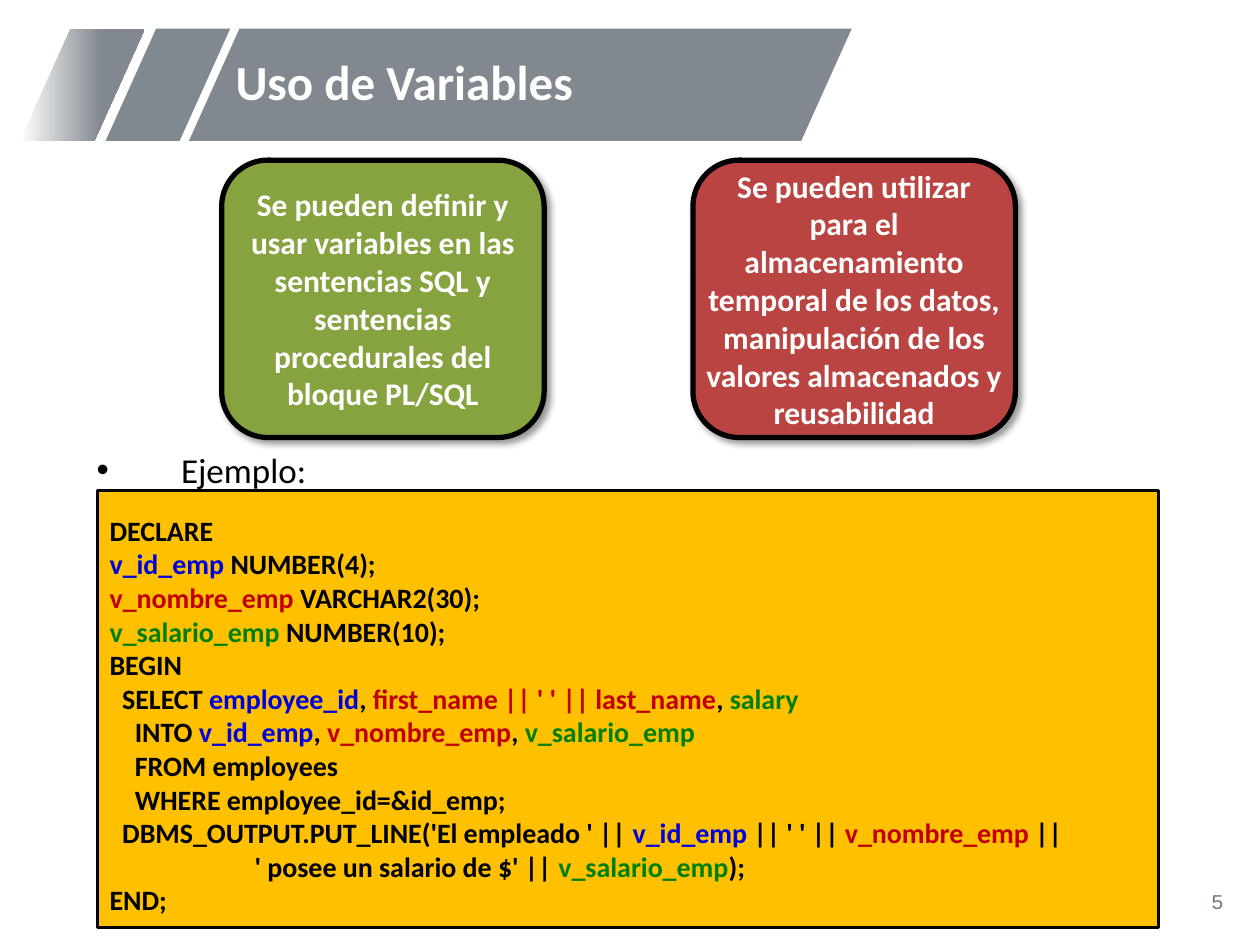
from lxml.etree import SubElement
from pptx import Presentation
from pptx.dml.color import RGBColor
from pptx.enum.shapes import MSO_SHAPE
from pptx.enum.text import MSO_ANCHOR, PP_ALIGN
from pptx.oxml.ns import qn
from pptx.util import Cm, Pt

COLORS = {
    "white": "FFFFFF", "black": "000000", "banner": "81888F", "band": "818990",
    "number": "6C7A8A", "green_card": "86A33F", "red_card": "B94441",
    "code_fill": "FFC000", "id": "0000DE", "name": "C00000", "salary": "008000",
}
TITLE = "Uso de Variables"
SLIDE_NUMBER = "5"
EXAMPLE = "Ejemplo:"
CARDS = [
    ("green_card", "Se pueden definir y usar variables en las sentencias SQL y "
                   "sentencias procedurales del bloque PL/SQL"),
    ("red_card", "Se pueden utilizar para el almacenamiento temporal de los datos, "
                 "manipulación de los valores almacenados y reusabilidad"),
]
ID = ("v_id_emp", "id")
NAME = ("v_nombre_emp", "name")
SALARY = ("v_salario_emp", "salary")
# Each line is a list of parts: plain text is black, a pair names its colour.
CODE = [
    ["DECLARE"],
    [ID, " NUMBER(4);"],
    [NAME, " VARCHAR2(30);"],
    [SALARY, " NUMBER(10);"],
    ["BEGIN"],
    ["  SELECT ", ("employee_id", "id"), ", ",
     ("first_name || ' ' || last_name", "name"), ", ", ("salary", "salary")],
    ["    INTO ", ID, ", ", NAME, ", ", SALARY],
    ["    FROM employees"],
    ["    WHERE employee_id=&id_emp;"],
    ["  DBMS_OUTPUT.PUT_LINE('El empleado ' || ", ID, " || ' ' || ", NAME, " ||"],
    ["                       ' posee un salario de $' || ", SALARY, ");"],
    ["END;"],
]
BANNER_TOP, BANNER_HEIGHT = 0.58, 2.26
BANNER_PARTS = [(3.81, 13.36, "banner"), (2.13, 2.51, "band"), (0.41, 2.51, None)]
CARD_LEFT, CARD_PITCH = 4.47, 9.5


def rgb(name):
    return RGBColor.from_string(COLORS[name])


def set_font(font, size, color, bold=False, face="Calibri"):
    font.name, font.size, font.bold = face, Pt(size), bold
    font.color.rgb = rgb(color)


def add_box(slide, kind, box, fill=None, line_width=None):
    shape = slide.shapes.add_shape(kind, *(Cm(value) for value in box))
    shape.shadow.inherit = False
    if fill:
        shape.fill.solid()
        shape.fill.fore_color.rgb = rgb(fill)
    if line_width:
        shape.line.color.rgb = rgb("black")
        shape.line.width = Pt(line_width)
    else:
        shape.line.fill.background()
    return shape


def add_text(slide, box, text, anchor=MSO_ANCHOR.TOP):
    frame = slide.shapes.add_textbox(*(Cm(value) for value in box)).text_frame
    frame.word_wrap = True
    frame.vertical_anchor = anchor
    frame.text = text
    return frame.paragraphs[0]


def add_shadow(shape):
    effects = shape._element.spPr.find(qn("a:effectLst"))
    shadow = SubElement(effects, qn("a:outerShdw"), blurRad=str(Pt(4)),
                        dist=str(Pt(3)), dir=str(45 * 60000), algn="tl", rotWithShape="0")
    color = SubElement(shadow, qn("a:srgbClr"), val=COLORS["black"])
    SubElement(color, qn("a:alpha"), val="40000")


def add_banner(slide):
    for left, width, fill in BANNER_PARTS:
        part = add_box(slide, MSO_SHAPE.PARALLELOGRAM,
                       (left, BANNER_TOP, width, BANNER_HEIGHT), fill)
        part.adjustments[0] = 0.45
        if fill is None:
            part.fill.gradient()
            part.fill.gradient_angle = 0
            start, end = part.fill.gradient_stops
            start.color.rgb, start.position = rgb("white"), 0
            end.color.rgb, end.position = rgb("banner"), 0.65
    title = add_text(slide, (4.5, BANNER_TOP, 11.91, BANNER_HEIGHT), TITLE, MSO_ANCHOR.MIDDLE)
    title.line_spacing = 0.9
    set_font(title.font, 28, "white", bold=True)


def add_cards(slide):
    for index, (fill, text) in enumerate(CARDS):
        box = (CARD_LEFT + index * CARD_PITCH, 3.23, 6.5, 5.59)
        card = add_box(slide, MSO_SHAPE.ROUNDED_RECTANGLE, box, fill, 3)
        add_shadow(card)
        frame = card.text_frame
        frame.margin_left = frame.margin_right = frame.margin_top = frame.margin_bottom = 0
        frame.word_wrap = True
        frame.vertical_anchor = MSO_ANCHOR.MIDDLE
        frame.text = text
        paragraph = frame.paragraphs[0]
        paragraph.alignment = PP_ALIGN.CENTER
        set_font(paragraph.font, 18, "white", bold=True)


def add_code(slide):
    frame = add_box(slide, MSO_SHAPE.RECTANGLE, (1.96, 9.88, 21.39, 8.81),
                    "code_fill", 1.75).text_frame
    frame.word_wrap = True
    frame.vertical_anchor = MSO_ANCHOR.TOP
    frame.margin_top = Cm(0.47)
    for index, parts in enumerate(CODE):
        paragraph = frame.add_paragraph() if index else frame.paragraphs[0]
        paragraph.alignment = PP_ALIGN.LEFT
        set_font(paragraph.font, 16, "black", bold=True)
        for part in parts:
            text, color = (part, "black") if isinstance(part, str) else part
            run = paragraph.add_run()
            run.text = text
            run.font.color.rgb = rgb(color)


def add_example(slide):
    paragraph = add_text(slide, (1.7, 9.09, 21.79, 1.14), EXAMPLE)
    paragraph.alignment = PP_ALIGN.JUSTIFY
    paragraph.line_spacing = 0.8
    properties = paragraph._p.get_or_add_pPr()
    properties.set("marL", str(Cm(1.7)))
    properties.set("indent", str(-Cm(1.7)))
    SubElement(properties, qn("a:buFont"), typeface="Arial")
    SubElement(properties, qn("a:buChar"), char="•")
    set_font(paragraph.font, 20, "black")


def main():
    presentation = Presentation()
    presentation.slide_width, presentation.slide_height = Cm(25.4), Cm(19.05)
    slide = presentation.slides.add_slide(presentation.slide_layouts[6])
    add_banner(slide)
    number = add_text(slide, (19.2, 17.65, 5.72, 1.02), SLIDE_NUMBER, MSO_ANCHOR.MIDDLE)
    number.alignment = PP_ALIGN.RIGHT
    set_font(number.font, 12, "number", face="Courier New")
    add_cards(slide)
    add_code(slide)
    add_example(slide)
    presentation.save("out.pptx")


if __name__ == "__main__":
    main()
